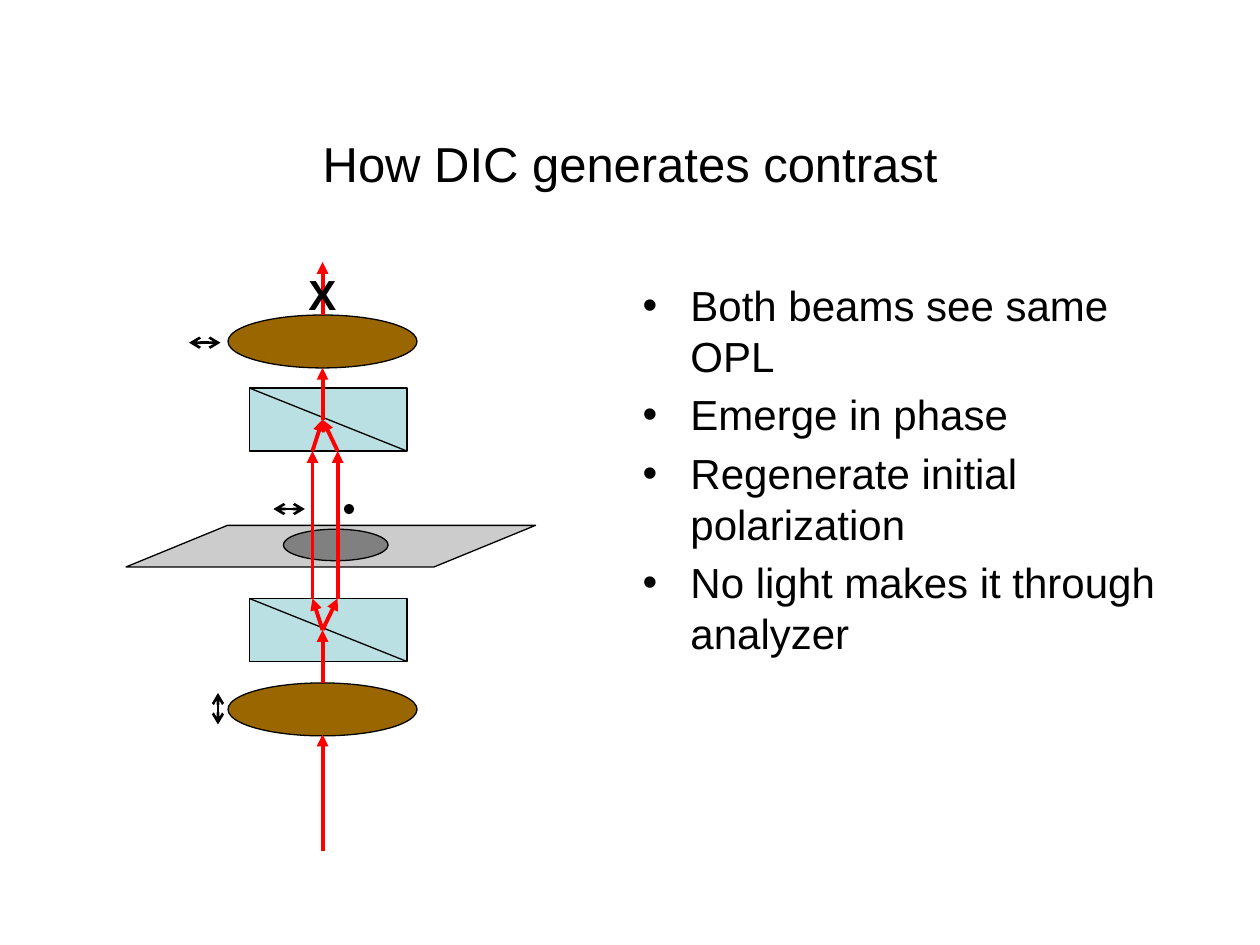
"""Build the slide on how DIC generates contrast."""
from lxml import etree
from pptx import Presentation
from pptx import util as u
from pptx.dml.color import RGBColor
from pptx.enum import shapes, text
from pptx.oxml.ns import qn

FONT = "Arial"
COLORS = {"black": "000000", "beam": "FF0000", "lens": "996600",
          "prism": "BBE0E3", "stage": "CCCCCC", "specimen": "808080"}

TITLE = "How DIC generates contrast"
POINTS = ["Both beams see same OPL", "Emerge in phase",
          "Regenerate initial polarization", "No light makes it through analyzer"]

AXIS, LEFT_BEAM, RIGHT_BEAM = 2.56, 2.48, 2.68
PRISM_LEFT, PRISM_WIDTH, PRISM_HEIGHT = 1.98, 1.25, 0.5
LENS_WIDTH, LENS_HEIGHT = 1.5, 0.42
PRISM_TOPS = [4.75, 3.08]
LENS_TOPS = [2.5, 5.42]
BEAMS = [
    (AXIS, 6.75, AXIS, 5.83),
    (AXIS, 5.42, AXIS, 5),
    (AXIS, 5, RIGHT_BEAM, 4.75),
    (AXIS, 5, LEFT_BEAM, 4.75),
    (LEFT_BEAM, 4.75, LEFT_BEAM, 3.58),
    (RIGHT_BEAM, 4.75, RIGHT_BEAM, 3.58),
    (RIGHT_BEAM, 3.58, AXIS, 3.33),
    (LEFT_BEAM, 3.58, AXIS, 3.33),
    (AXIS, 3.33, AXIS, 2.92),
    (AXIS, 2.5, AXIS, 2.08),
]
POLARIZATIONS = [(1.73, 5.75, 1.73, 5.5), (1.75, 2.72, 1.5, 2.72),
                 (2.42, 4.04, 2.17, 4.04)]


def rgb(name):
    return RGBColor.from_string(COLORS[name])


def place(box, left, top, width, height):
    box.left, box.top = u.Inches(left), u.Inches(top)
    box.width, box.height = u.Inches(width), u.Inches(height)


def add_span(para, words, size, bold=False):
    span = para.add_run()
    span.text = words
    span.font.name, span.font.size, span.font.bold = FONT, u.Pt(size), bold
    span.font.color.rgb = rgb("black")


def add_solid(page, kind, area, fill, outlined=True):
    solid = page.shapes.add_shape(kind, *map(u.Inches, area))
    solid.shadow.inherit = False
    solid.fill.solid()
    solid.fill.fore_color.rgb = rgb(fill)
    if outlined:
        solid.line.color.rgb = rgb("black")
        solid.line.width = u.Pt(0.75)
    else:
        solid.line.fill.background()
    return solid


def add_line(page, ends, color, width, head=None, tail=None):
    line = page.shapes.add_connector(shapes.MSO_CONNECTOR.STRAIGHT, *map(u.Inches, ends))
    line.line.color.rgb = rgb(color)
    line.line.width = u.Pt(width)
    outline = line.line._get_or_add_ln()
    for tag, kind in (("a:headEnd", head), ("a:tailEnd", tail)):
        if kind:
            etree.SubElement(outline, qn(tag), type=kind)
    etree.SubElement(line._element.spPr, qn("a:effectLst"))


def add_title(page):
    box = page.shapes.title
    place(box, 0.75, 0.67, 8.5, 1.25)
    box.text_frame.vertical_anchor = text.MSO_ANCHOR.MIDDLE
    para = box.text_frame.paragraphs[0]
    para.alignment = text.PP_ALIGN.CENTER
    add_span(para, TITLE, 28)


def add_points(page):
    box = page.placeholders[1]
    place(box, 5, 2.17, 4.42, 4.5)
    frame = box.text_frame
    frame.auto_size = text.MSO_AUTO_SIZE.NONE
    for index, words in enumerate(POINTS):
        para = frame.add_paragraph() if index else frame.paragraphs[0]
        para.space_before = u.Pt(4.8 if index else 0)
        properties = para._p.get_or_add_pPr()
        properties.set("marL", str(u.Inches(0.38)))
        properties.set("indent", str(u.Inches(-0.38)))
        etree.SubElement(properties, qn("a:buChar"), char="•")
        add_span(para, words, 24)


def add_microscope(page):
    kinds = shapes.MSO_SHAPE
    stage = add_solid(page, kinds.PARALLELOGRAM, (1, 4.17, 3.25, 0.33), "stage")
    stage.adjustments[0] = 2.44
    add_solid(page, kinds.OVAL, (2.25, 4.2, 0.83, 0.25), "specimen")
    for top in PRISM_TOPS:
        add_solid(page, kinds.RECTANGLE, (PRISM_LEFT, top, PRISM_WIDTH, PRISM_HEIGHT), "prism")
        diagonal = (PRISM_LEFT, top, PRISM_LEFT + PRISM_WIDTH, top + PRISM_HEIGHT)
        add_line(page, diagonal, "black", 0.75)
    for top in LENS_TOPS:
        add_solid(page, kinds.OVAL, (AXIS - LENS_WIDTH / 2, top, LENS_WIDTH, LENS_HEIGHT), "lens")
    for ends in POLARIZATIONS:
        add_line(page, ends, "black", 1.5, "arrow", "arrow")
    for ends in BEAMS:
        add_line(page, ends, "beam", 2.25, tail="triangle")
    add_solid(page, kinds.OVAL, (2.73, 4, 0.08, 0.08), "black", outlined=False)


def add_block_mark(page):
    box = page.shapes.add_textbox(*map(u.Inches, (2.35, 2.08, 0.43, 0.5)))
    box.text_frame.word_wrap = False
    box.text_frame.auto_size = text.MSO_AUTO_SIZE.SHAPE_TO_FIT_TEXT
    add_span(box.text_frame.paragraphs[0], "X", 24, bold=True)


def main():
    deck = Presentation()
    deck.slide_width, deck.slide_height = u.Inches(10), u.Inches(7.5)
    page = deck.slides.add_slide(deck.slide_layouts[1])
    add_title(page)
    add_microscope(page)
    add_block_mark(page)
    add_points(page)
    deck.save("out.pptx")


if __name__ == "__main__":
    main()
